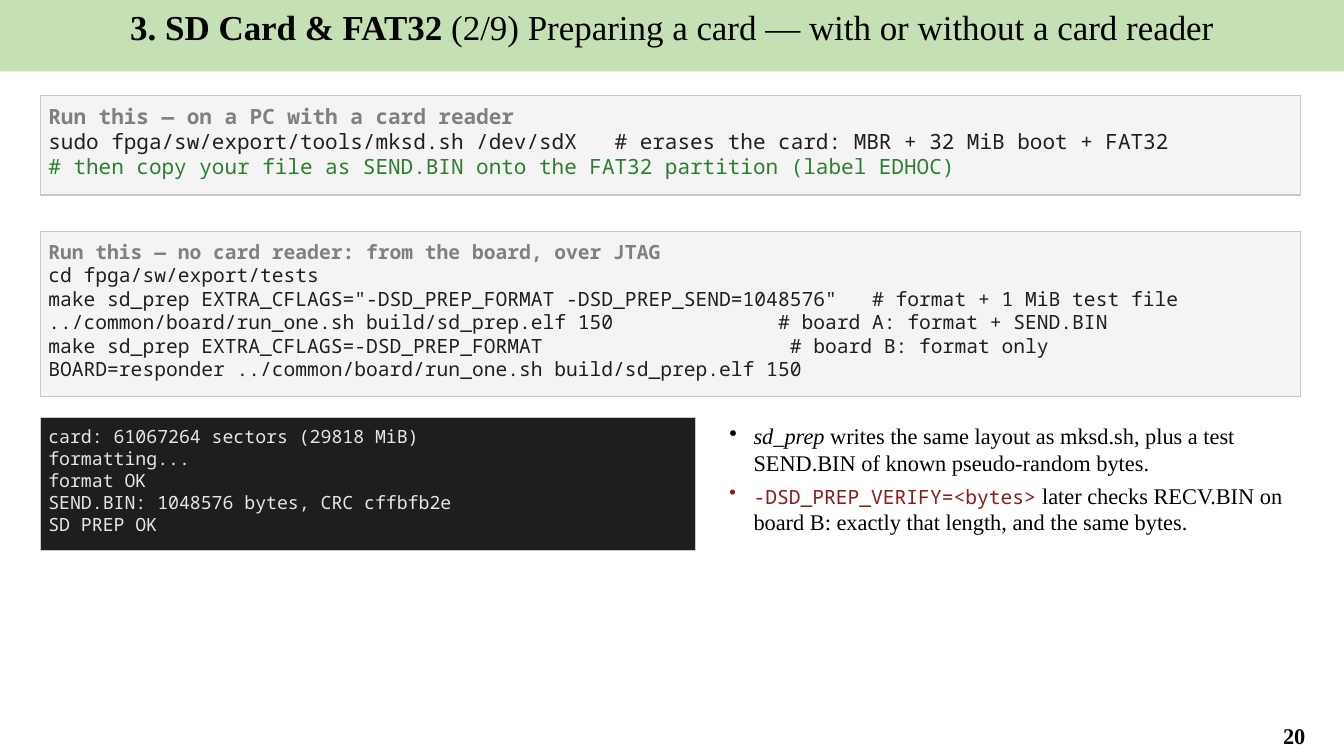
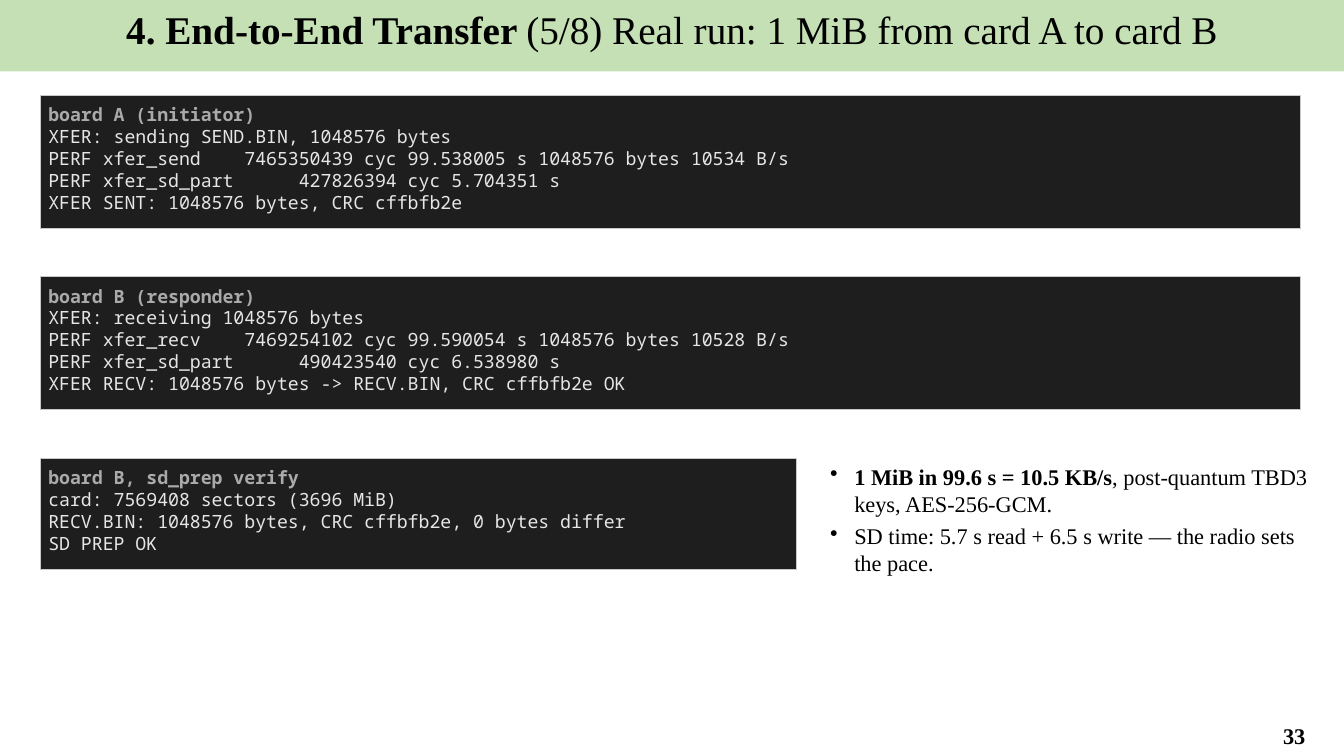
from pptx import Presentation
from pptx import util as u
from pptx.dml.color import RGBColor
from pptx.enum import shapes, text
from pptx.oxml.ns import qn
from lxml import etree

BLACK = RGBColor(0x00, 0x00, 0x00)
BAND = RGBColor(0xC5, 0xE0, 0xB4)
BORDER = RGBColor(0xC8, 0xC8, 0xC8)
CODE_BG = RGBColor(0xF4, 0xF4, 0xF4)
CODE_HEAD = RGBColor(0x80, 0x80, 0x80)
CODE_INK = RGBColor(0x1F, 0x1F, 0x1F)
COMMENT = RGBColor(0x2E, 0x7D, 0x32)
TERM_BG = RGBColor(0x1E, 0x1E, 0x1E)
TERM_HEAD = RGBColor(0xAA, 0xAA, 0xAA)
TERM_INK = RGBColor(0xE6, 0xE6, 0xE6)
OPTION = RGBColor(0x8B, 0x1A, 0x1A)

SERIF = "Times New Roman"
MONO = "Noto Sans Mono"
SLIDE_W, SLIDE_H = u.Cm(33.87), u.Cm(19.05)
LEFT = u.Cm(1.02)
FULL_W = u.Cm(31.75)
TOP = u.Cm(2.41)


def add_run(p, words, font=SERIF, size=16, color=BLACK, bold=False, italic=False):
    r = p.add_run()
    r.text = words
    r.font.name = font
    r.font.size = u.Pt(size)
    r.font.color.rgb = color
    r.font.bold = bold
    r.font.italic = italic


def next_paragraph(tf, index):
    return tf.paragraphs[0] if index == 0 else tf.add_paragraph()


def add_title(s, section, topic, size):
    sp = s.shapes.title
    sp.left, sp.top, sp.width, sp.height = 0, 0, SLIDE_W, u.Cm(1.8)
    sp.fill.solid()
    sp.fill.fore_color.rgb = BAND
    tf = sp.text_frame
    tf.auto_size = text.MSO_AUTO_SIZE.NONE
    tf.vertical_anchor = text.MSO_ANCHOR.TOP
    p = tf.paragraphs[0]
    p.alignment = text.PP_ALIGN.CENTER
    add_run(p, section + " ", size=size, bold=True)
    add_run(p, topic, size=size)


def add_page_number(s, number):
    sp = s.shapes.add_textbox(u.Cm(31.37), u.Cm(18.03), u.Cm(2.49), u.Cm(0.99))
    tf = sp.text_frame
    tf.word_wrap = True
    tf.vertical_anchor = text.MSO_ANCHOR.MIDDLE
    p = tf.paragraphs[0]
    p.alignment = text.PP_ALIGN.CENTER
    add_run(p, str(number), bold=True)


def add_panel(s, top, width, lines, size, fill, ink, head=None, head_ink=None, comment=None):
    rows = [(line, ink, False) for line in lines]
    if head:
        rows.insert(0, (head, head_ink, True))
    if comment:
        rows.append((comment, COMMENT, False))
    height = u.Cm(0.6) + u.Pt(1.2 * size * len(rows))
    sp = s.shapes.add_shape(shapes.MSO_SHAPE.RECTANGLE, LEFT, top, width, height)
    sp.shadow.inherit = False
    sp.fill.solid()
    sp.fill.fore_color.rgb = fill
    sp.line.color.rgb = BORDER
    sp.line.width = u.Pt(0.75)
    tf = sp.text_frame
    tf.word_wrap = False
    tf.vertical_anchor = text.MSO_ANCHOR.TOP
    tf.margin_left = tf.margin_right = tf.margin_top = tf.margin_bottom = u.Cm(0.2)
    for i, (line, color, bold) in enumerate(rows):
        p = next_paragraph(tf, i)
        p.alignment = text.PP_ALIGN.LEFT
        add_run(p, line, font=MONO, size=size, color=color, bold=bold)


def add_code(s, top, head, lines, size, comment=None):
    add_panel(s, top, FULL_W, lines, size, CODE_BG, CODE_INK, head, CODE_HEAD, comment)


def add_terminal(s, top, lines, head=None, width=FULL_W):
    add_panel(s, top, width, lines, 13, TERM_BG, TERM_INK, head, TERM_HEAD)


def add_bullets(s, left, top, width, height, items):
    tf = s.shapes.add_textbox(left, top, width, height).text_frame
    tf.word_wrap = True
    for i, runs in enumerate(items):
        p = next_paragraph(tf, i)
        pPr = p._p.get_or_add_pPr()
        pPr.set("marL", str(u.Cm(0.71)))
        pPr.set("indent", str(-u.Cm(0.61)))
        etree.SubElement(pPr, qn("a:buChar")).set("char", "•")
        p.space_after = u.Pt(4)
        for words, style in runs:
            add_run(p, words, **style)


def new_slide(prs, section, topic, size, number):
    s = prs.slides.add_slide(prs.slide_layouts[5])
    add_title(s, section, topic, size)
    add_page_number(s, number)
    return s


def build_card_slide(prs):
    s = new_slide(prs, "3. SD Card & FAT32",
                  "(2/9) Preparing a card — with or without a card reader", 25, 20)
    add_code(s, TOP, "Run this — on a PC with a card reader", [
        "sudo fpga/sw/export/tools/mksd.sh /dev/sdX   # erases the card: MBR + 32 MiB boot + FAT32",
    ], 15, comment="# then copy your file as SEND.BIN onto the FAT32 partition (label EDHOC)")
    add_code(s, u.Cm(5.84), "Run this — no card reader: from the board, over JTAG", [
        "cd fpga/sw/export/tests",
        'make sd_prep EXTRA_CFLAGS="-DSD_PREP_FORMAT -DSD_PREP_SEND=1048576"   # format + 1 MiB test file',
        "../common/board/run_one.sh build/sd_prep.elf 150              # board A: format + SEND.BIN",
        "make sd_prep EXTRA_CFLAGS=-DSD_PREP_FORMAT                     # board B: format only",
        "BOARD=responder ../common/board/run_one.sh build/sd_prep.elf 150",
    ], 14)
    row = u.Cm(10.52)
    add_terminal(s, row, [
        "card: 61067264 sectors (29818 MiB)",
        "formatting...",
        "format OK",
        "SEND.BIN: 1048576 bytes, CRC cffbfb2e",
        "SD PREP OK",
    ], width=u.Cm(16.51))
    add_bullets(s, u.Cm(18.03), row, u.Cm(15.24), u.Cm(6.6), [
        [("sd_prep", dict(italic=True)),
         (" writes the same layout as mksd.sh, plus a test SEND.BIN of known pseudo-random bytes.", {})],
        [("-DSD_PREP_VERIFY=<bytes>", dict(font=MONO, size=14, color=OPTION)),
         (" later checks RECV.BIN on board B: exactly that length, and the same bytes.", {})],
    ])


def build_transfer_slide(prs):
    s = new_slide(prs, "4. End-to-End Transfer",
                  "(5/8) Real run: 1 MiB from card A to card B", 28, 33)
    rows = [TOP + i * u.Cm(4.57) for i in range(3)]
    add_terminal(s, rows[0], [
        "XFER: sending SEND.BIN, 1048576 bytes",
        "PERF xfer_send    7465350439 cyc 99.538005 s 1048576 bytes 10534 B/s",
        "PERF xfer_sd_part      427826394 cyc 5.704351 s",
        "XFER SENT: 1048576 bytes, CRC cffbfb2e",
    ], head="board A (initiator)")
    add_terminal(s, rows[1], [
        "XFER: receiving 1048576 bytes",
        "PERF xfer_recv    7469254102 cyc 99.590054 s 1048576 bytes 10528 B/s",
        "PERF xfer_sd_part      490423540 cyc 6.538980 s",
        "XFER RECV: 1048576 bytes -> RECV.BIN, CRC cffbfb2e OK",
    ], head="board B (responder)")
    add_terminal(s, rows[2], [
        "card: 7569408 sectors (3696 MiB)",
        "RECV.BIN: 1048576 bytes, CRC cffbfb2e, 0 bytes differ",
        "SD PREP OK",
    ], head="board B, sd_prep verify", width=u.Cm(19.05))
    add_bullets(s, u.Cm(20.57), rows[2], u.Cm(12.7), u.Cm(5.84), [
        [("1 MiB in 99.6 s = 10.5 KB/s", dict(bold=True)),
         (", post-quantum TBD3 keys, AES-256-GCM.", {})],
        [("SD time: 5.7 s read + 6.5 s write — the radio sets the pace.", {})],
    ])


def main():
    prs = Presentation()
    prs.slide_width, prs.slide_height = SLIDE_W, SLIDE_H
    build_card_slide(prs)
    build_transfer_slide(prs)
    prs.save("out.pptx")


if __name__ == "__main__":
    main()
